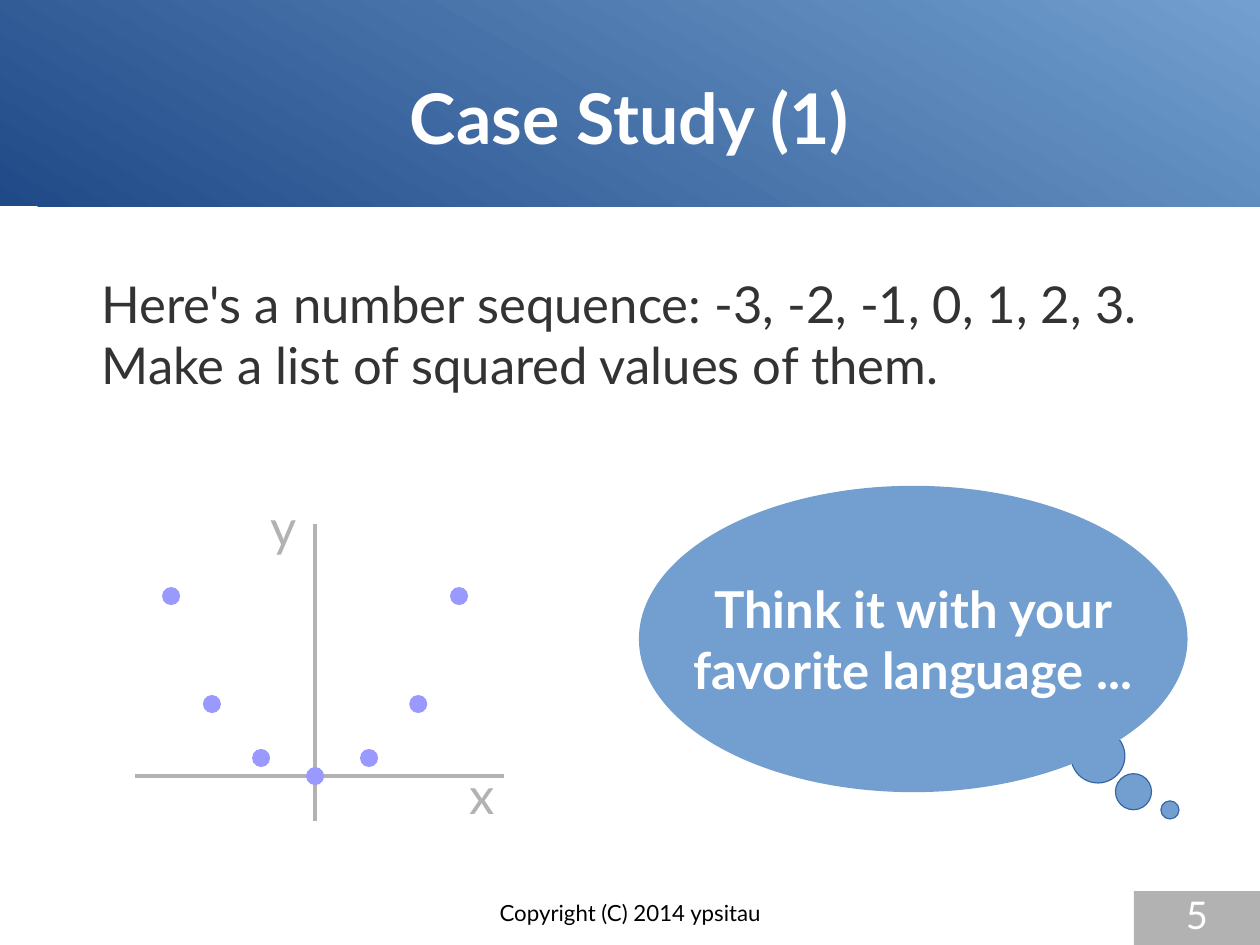
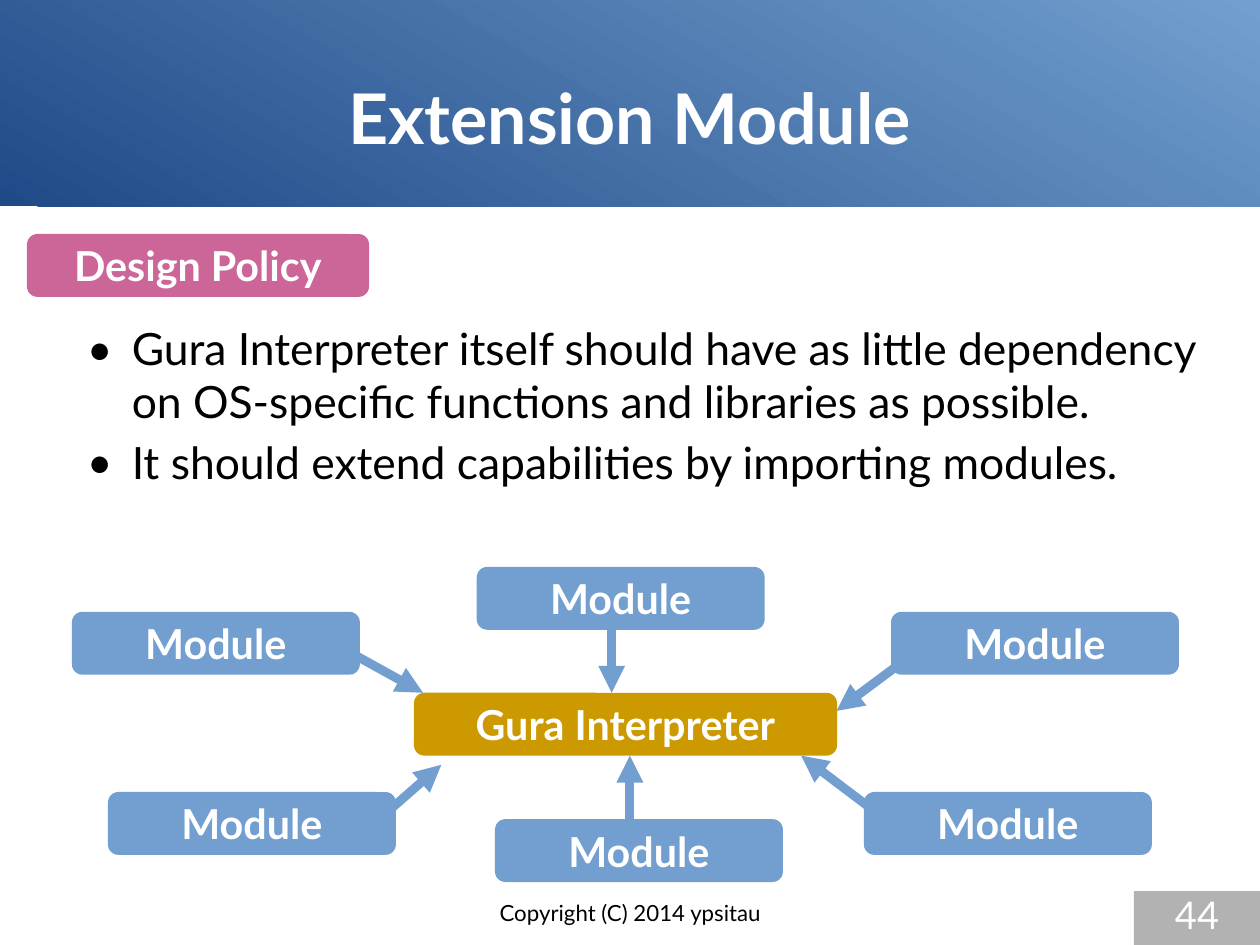
from lxml import etree
from pptx import Presentation
from pptx.dml.color import RGBColor
from pptx.enum import shapes, text
from pptx.oxml.ns import qn
from pptx.util import Pt

# ---- Shared look ----
FONT = "Lato"
WHITE, BLACK = RGBColor(255, 255, 255), RGBColor(0, 0, 0)
NAVY, SKY = RGBColor(0x20, 0x4A, 0x87), RGBColor(0x72, 0x9F, 0xCF)
OUTLINE, LILAC = RGBColor(0x34, 0x65, 0xA4), RGBColor(0x99, 0x99, 0xFF)
PINK, GOLD = RGBColor(0xCC, 0x66, 0x99), RGBColor(0xCC, 0x99, 0)
GREY, CHARCOAL = RGBColor(0xB2, 0xB2, 0xB2), RGBColor(0x33, 0x33, 0x33)
WIDTH, HEIGHT = 793.7, 595.28
BAND_HEIGHT = 130.1
TITLE_BOX = (39.6, 23.8, 714.3, 99.4)
FOOTER_BOX = (271.4, 566.6, 251.3, 28)
PAGE_BOX = (714.3, 561.3, 79.4, 33.9)
FOOTER = "Copyright (C) 2014 ypsitau"
KINDS = shapes.MSO_SHAPE
CENTER, LEFT = text.PP_ALIGN.CENTER, text.PP_ALIGN.LEFT
MIDDLE, TOP = text.MSO_ANCHOR.MIDDLE, text.MSO_ANCHOR.TOP

# ---- Case study content ----
TASK = ["Here's a number sequence: -3, -2, -1, 0, 1, 2, 3.",
        "Make a list of squared values of them."]
TASK_BOX = (64, 171.8, 690, 87)
THOUGHT = ["Think it with your", "favorite language ..."]
BALLOON_BOX = (402.5, 306, 345.6, 193)
PUFFS = [(691.6, 476.2, 34), (714, 498.7, 22.7), (737, 510.2, 11.4)]  # centre, size
ORIGIN = (198.5, 488.9)
AXES = [((85, 488.9), (317.5, 488.9)), ((198.5, 517), (198.5, 330.2))]
AXIS_LABELS = [("x", (296, 481, 30, 43)), ("y", (170.7, 312.3, 30, 43))]
DOT_SIZE = 11.4
DOTS = [(0, 0), (34, 11.4), (65, 45.4), (90.7, 113.4)]  # right of and above origin

# ---- Extension module content ----
POLICY_BOX = (17, 147.4, 215.5, 39.6)
POLICIES = ["Gura Interpreter itself should have as little dependency\v"
            "on OS-specific functions and libraries as possible.",
            "It should extend capabilities by importing modules."]
POLICIES_BOX = (54.7, 202.3, 735, 120)
BULLET_INDENT = 28.3
INTERPRETER_BOX = (260.8, 436.4, 266.5, 39.6)
MODULE_SIZE = (181.4, 39.6)
MODULES = [  # corner, arrow start, arrow end
    ((300.3, 357.1), (385.3, 385.4), (385.3, 436.4)),
    ((561.3, 385.4), (572.5, 414), (527, 447.8)),
    ((45.3, 385.4), (215.5, 408.2), (266.5, 436.4)),
    ((544.2, 498.9), (550, 510.3), (504.7, 476)),
    ((311.8, 516), (396.8, 516), (396.8, 476)),
    ((68, 498.9), (232.5, 521.5), (278, 481.8)),
]


def write(shape, lines, size, color, bold=False, align=LEFT, anchor=TOP):
    frame = shape.text_frame
    frame.text = "\n".join(lines)
    layout_values = dict(word_wrap=True, vertical_anchor=anchor,
                         auto_size=text.MSO_AUTO_SIZE.NONE, margin_left=0,
                         margin_right=0, margin_top=0, margin_bottom=0)
    for name, value in layout_values.items():
        setattr(frame, name, value)
    for paragraph in frame.paragraphs:
        paragraph.alignment = align
        for name, value in dict(name=FONT, size=Pt(size), bold=bold).items():
            setattr(paragraph.font, name, value)
        paragraph.font.color.rgb = color
    return frame


def add_text(slide, box, lines, size, color, **style):
    label = slide.shapes.add_textbox(*map(Pt, box))
    return write(label, lines, size, color, **style)


def add_block(slide, kind, box, fill, outline=None):
    block = slide.shapes.add_shape(kind, *map(Pt, box))
    block.shadow.inherit = False
    block.fill.solid()
    block.fill.fore_color.rgb = fill
    if outline is None:
        block.line.fill.background()
    else:
        block.line.color.rgb = outline
        block.line.width = Pt(0)
    return block


def add_circle(slide, x, y, size, fill, outline=None):
    box = (x - size / 2, y - size / 2, size, size)
    add_block(slide, KINDS.OVAL, box, fill, outline)


def add_plate(slide, box, caption, fill):
    plate = add_block(slide, KINDS.ROUNDED_RECTANGLE, box, fill)
    write(plate, [caption], 26, WHITE, bold=True, align=CENTER, anchor=MIDDLE)


def add_line(slide, start, end, color, width, arrow=False):
    line = slide.shapes.add_connector(shapes.MSO_CONNECTOR.STRAIGHT,
                                      *map(Pt, start + end))
    line.line.color.rgb = color
    line.line.width = Pt(width)
    properties = line._element.spPr
    if arrow:
        etree.SubElement(properties.find(qn("a:ln")), qn("a:tailEnd"), type="triangle")
    etree.SubElement(properties, qn("a:effectLst"))


def add_layout_band(slide):
    """Move one gradient band into the layout, behind its placeholders."""
    band = add_block(slide, KINDS.RECTANGLE, (0, 0, WIDTH, BAND_HEIGHT), NAVY)
    band.fill.gradient()
    band.fill.gradient_angle = 60
    for stop, color in zip(band.fill.gradient_stops, (NAVY, SKY)):
        stop.color.rgb = color
    slide.slide_layout.shapes._spTree.insert(2, band._element)


def add_slide(deck, title, page):
    slide = deck.slides.add_slide(deck.slide_layouts[5])
    if len(deck.slides) == 1:
        add_layout_band(slide)
    heading = slide.shapes.title
    heading.left, heading.top, heading.width, heading.height = map(Pt, TITLE_BOX)
    write(heading, [title], 44, WHITE, bold=True, align=CENTER, anchor=MIDDLE)
    add_text(slide, FOOTER_BOX, [FOOTER], 14, BLACK, align=CENTER)
    page_block = add_block(slide, KINDS.RECTANGLE, PAGE_BOX, GREY)
    write(page_block, [str(page)], 24, WHITE, align=CENTER)
    return slide


def build_case_study(deck):
    slide = add_slide(deck, "Case Study (1)", 5)
    add_text(slide, TASK_BOX, TASK, 32, CHARCOAL)

    # Plot of the squares, mirrored at the y axis
    for start, end in AXES:
        add_line(slide, start, end, GREY, 2.83)
    for across, up in DOTS:
        for offset in {across, -across}:
            add_circle(slide, ORIGIN[0] + offset, ORIGIN[1] - up, DOT_SIZE, LILAC)
    for name, box in AXIS_LABELS:
        add_text(slide, box, [name], 32, GREY)

    # Thought balloon
    for x, y, size in PUFFS:
        add_circle(slide, x, y, size, SKY, OUTLINE)
    balloon = add_block(slide, KINDS.OVAL, BALLOON_BOX, SKY)
    frame = write(balloon, THOUGHT, 32, WHITE, bold=True, align=CENTER, anchor=MIDDLE)
    frame.word_wrap = False


def build_extension_module(deck):
    slide = add_slide(deck, "Extension Module", 44)
    add_plate(slide, POLICY_BOX, "Design Policy", PINK)

    # Bulleted policies
    policies = add_text(slide, POLICIES_BOX, POLICIES, 28, BLACK)
    for paragraph in policies.paragraphs:
        properties = paragraph._p.get_or_add_pPr()
        properties.set("marL", str(Pt(BULLET_INDENT)))
        properties.set("indent", str(-Pt(BULLET_INDENT)))
        run_defaults = properties.find(qn("a:defRPr"))
        for tag, values in (("a:buFont", {"typeface": FONT}), ("a:buChar", {"char": "•"})):
            run_defaults.addprevious(etree.Element(qn(tag), values))
    policies.paragraphs[1].space_before = Pt(4.5)

    # Modules pointing at the interpreter
    add_plate(slide, INTERPRETER_BOX, "Gura Interpreter", GOLD)
    for corner, start, end in MODULES:
        add_plate(slide, corner + MODULE_SIZE, "Module", SKY)
        add_line(slide, start, end, SKY, 5.67, arrow=True)


def main():
    deck = Presentation()
    deck.slide_width, deck.slide_height = Pt(WIDTH), Pt(HEIGHT)
    build_case_study(deck)
    build_extension_module(deck)
    deck.save("out.pptx")


if __name__ == "__main__":
    main()
